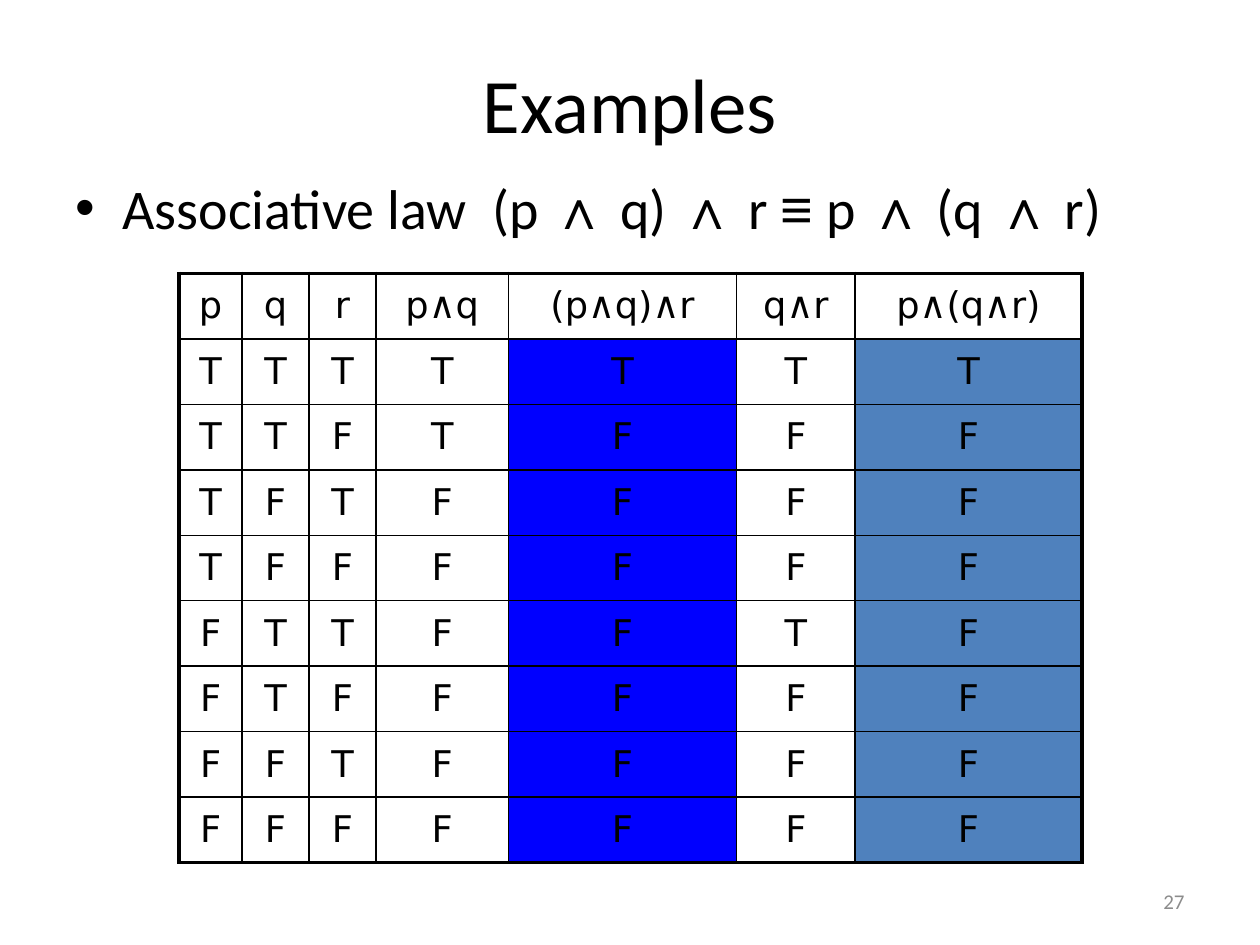
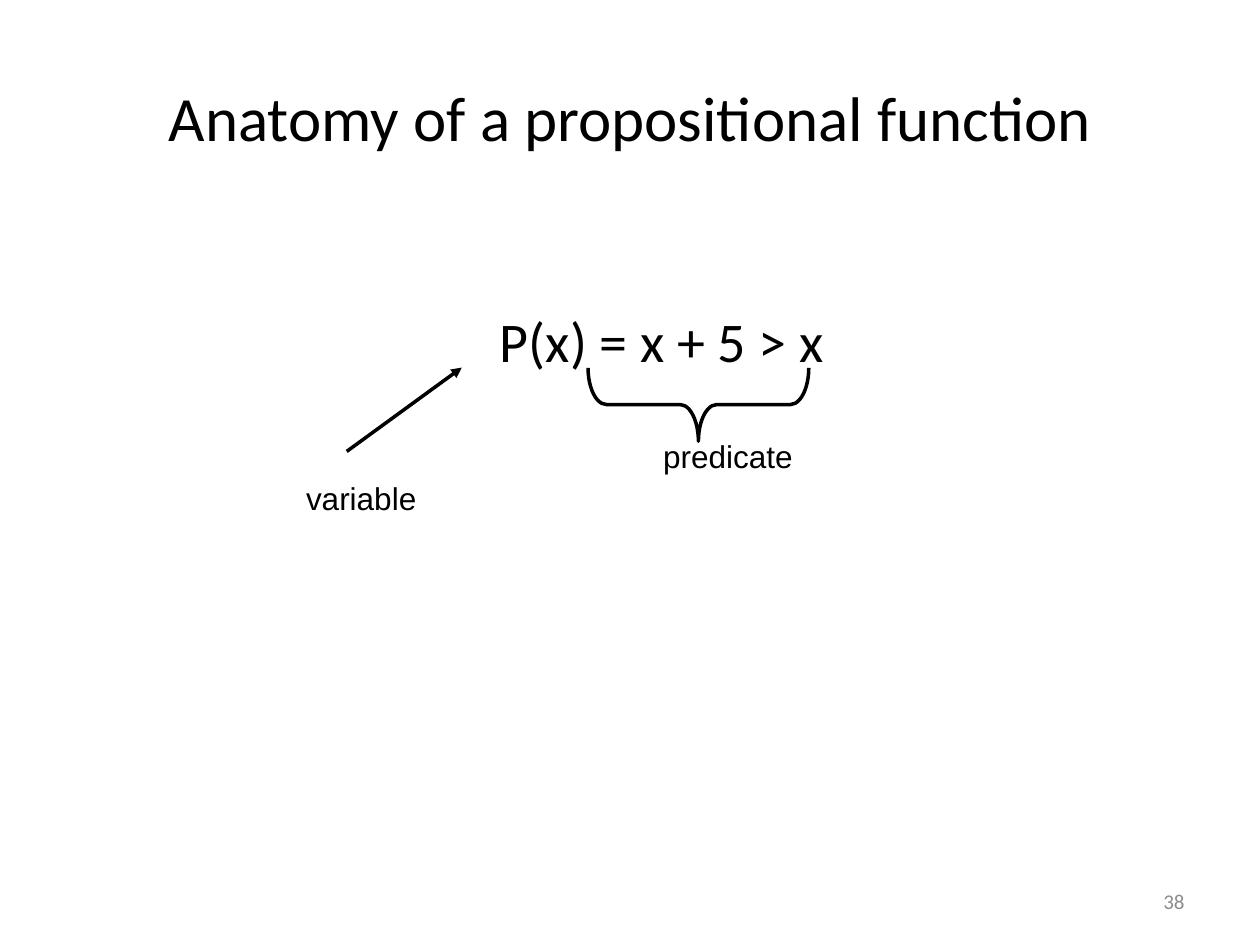
from itertools import product

from lxml.etree import SubElement
from pptx import Presentation
from pptx.dml.color import RGBColor
from pptx.enum.shapes import MSO_CONNECTOR, MSO_SHAPE
from pptx.enum.text import MSO_ANCHOR, PP_ALIGN
from pptx.oxml.ns import qn
from pptx.util import Cm, Pt

BLACK = RGBColor(0x00, 0x00, 0x00)
GREY = RGBColor(0x8C, 0x8C, 0x8C)
BLUE = RGBColor(0x00, 0x00, 0xFF)
STEEL = RGBColor(0x4F, 0x81, 0xBD)

# Shared text formats
HEAD = {"name": "Calibri", "size": Pt(44)}
SUBHEAD = {"name": "Calibri", "size": Pt(36)}
BODY = {"name": "Calibri", "size": Pt(32)}
MATH = {"name": "Arial", "size": Pt(32)}
CELL = {"name": "DejaVu Sans", "size": Pt(21)}
LABEL = {"name": "Arial", "size": Pt(18)}
NUMBER = {"name": "Calibri", "size": Pt(12)}


def write(frame, runs, align=PP_ALIGN.LEFT, color=BLACK):
    """Fill the first paragraph with (text, format) runs."""
    para = frame.paragraphs[0]
    para.alignment = align
    for text, form in runs:
        run = para.add_run()
        run.text = text
        for key, value in form.items():
            setattr(run.font, key, value)
        run.font.color.rgb = color
    return para


def add_text(slide, place, runs, wrap=True, **style):
    """Add a text box at (left, top, width, height) in cm."""
    box = slide.shapes.add_textbox(*map(Cm, place))
    box.text_frame.word_wrap = wrap
    return box, write(box.text_frame, runs, **style)


deck = Presentation()
deck.slide_width, deck.slide_height = Cm(25.4), Cm(19.05)

# Titles and slide numbers
slides = []
for title, form, top, height, number in [
    ("Examples", HEAD, 0.76, 2.62, "27"),
    ("Anatomy of a propositional function", SUBHEAD, 0.76, 3.18, "38"),
]:
    slide = deck.slides.add_slide(deck.slide_layouts[5])
    head = slide.shapes.title
    head.left, head.top = Cm(1.27), Cm(top)
    head.width, head.height = Cm(22.86), Cm(height)
    head.text_frame.vertical_anchor = MSO_ANCHOR.MIDDLE
    write(head.text_frame, [(title, form)], PP_ALIGN.CENTER)
    box, para = add_text(slide, (18.21, 17.65, 5.92, 1.02), [(number, NUMBER)],
                         align=PP_ALIGN.RIGHT, color=GREY)
    box.text_frame.vertical_anchor = MSO_ANCHOR.MIDDLE
    slides.append(slide)
law, parts = slides

# Associative law, with the symbols in their own font
pieces = ["Associative law  (p ", "∧", " q) ", "∧", " r ", "≡",
          " p ", "∧", " (q ", "∧", " r)"]
runs = [(piece, MATH if piece in "∧≡" else BODY) for piece in pieces]
box, para = add_text(law, (1.27, 3.38, 22.86, 1.8), runs)
props = para._p.get_or_add_pPr()
props.set("marL", str(Cm(0.95)))
props.set("indent", str(-Cm(0.95)))
SubElement(props, qn("a:buFont"), typeface="Arial")
SubElement(props, qn("a:buChar"), char="•")

# Truth table
rows = [["p", "q", "r", "p∧q", "(p∧q)∧r", "q∧r", "p∧(q∧r)"]]
for p, q, r in product([True, False], repeat=3):
    values = [p, q, r, p and q, p and q and r, q and r, p and q and r]
    rows.append(["T" if value else "F" for value in values])
widths = [1.27, 1.35, 1.35, 2.67, 4.6, 2.39, 4.57]
fills = {4: BLUE, 6: STEEL}
deep, wide = len(rows), len(widths)
frame = law.shapes.add_table(deep, wide, Cm(3.61), Cm(5.51),
                             Cm(sum(widths)), Cm(1.32 * deep))
table = frame.table
table.first_row = table.horz_banding = False
for col, width in zip(table.columns, widths):
    col.width = Cm(width)
for y, row in enumerate(rows):
    table.rows[y].height = Cm(1.32)
    for x, text in enumerate(row):
        cell = table.cell(y, x)
        cell.vertical_anchor = MSO_ANCHOR.MIDDLE
        write(cell.text_frame, [(text, CELL)], PP_ALIGN.CENTER)
        # Thick lines on the outer edge, thin ones inside
        edges = {"L": x == 0, "R": x == wide - 1,
                 "T": y == 0, "B": y == deep - 1}
        for side, outer in edges.items():
            line = SubElement(cell._tc.get_or_add_tcPr(), qn("a:ln" + side),
                              w=str(Pt(2.25 if outer else 1)))
            paint = SubElement(line, qn("a:solidFill"))
            SubElement(paint, qn("a:srgbClr"), val=str(BLACK))
        if y and x in fills:
            cell.fill.solid()
            cell.fill.fore_color.rgb = fills[x]
        else:
            cell.fill.background()

# Propositional function
box, para = add_text(parts, (1.27, 6.05, 22.86, 1.8),
                     [("P(x) = x + 5 > x", BODY)])
para._p.get_or_add_pPr().set("marL", str(Cm(8.56)))

# Brace under the predicate
brace = parts.shapes.add_shape(MSO_SHAPE.LEFT_BRACE, Cm(13.34), Cm(5.93),
                               Cm(1.48), Cm(4.45))
brace.rotation = 270
brace.adjustments[0], brace.adjustments[1] = 0.25, 0.5
brace.shadow.inherit = False
brace.fill.background()

# Arrow to the variable
arrow = parts.shapes.add_connector(MSO_CONNECTOR.STRAIGHT, Cm(6.99), Cm(9.1),
                                   Cm(9.31), Cm(7.41))
SubElement(arrow._element.spPr, qn("a:effectLst"))
for mark in brace, arrow:
    mark.line.color.rgb = BLACK
    mark.line.width = Pt(2)
SubElement(arrow.line._get_or_add_ln(), qn("a:tailEnd"), type="triangle")

# Labels
for text, left, top, width in [("variable", 5.92, 9.53, 2.74),
                               ("predicate", 13.12, 8.68, 3.12)]:
    add_text(parts, (left, top, width, 1.02), [(text, LABEL)], wrap=False)

deck.save("out.pptx")
